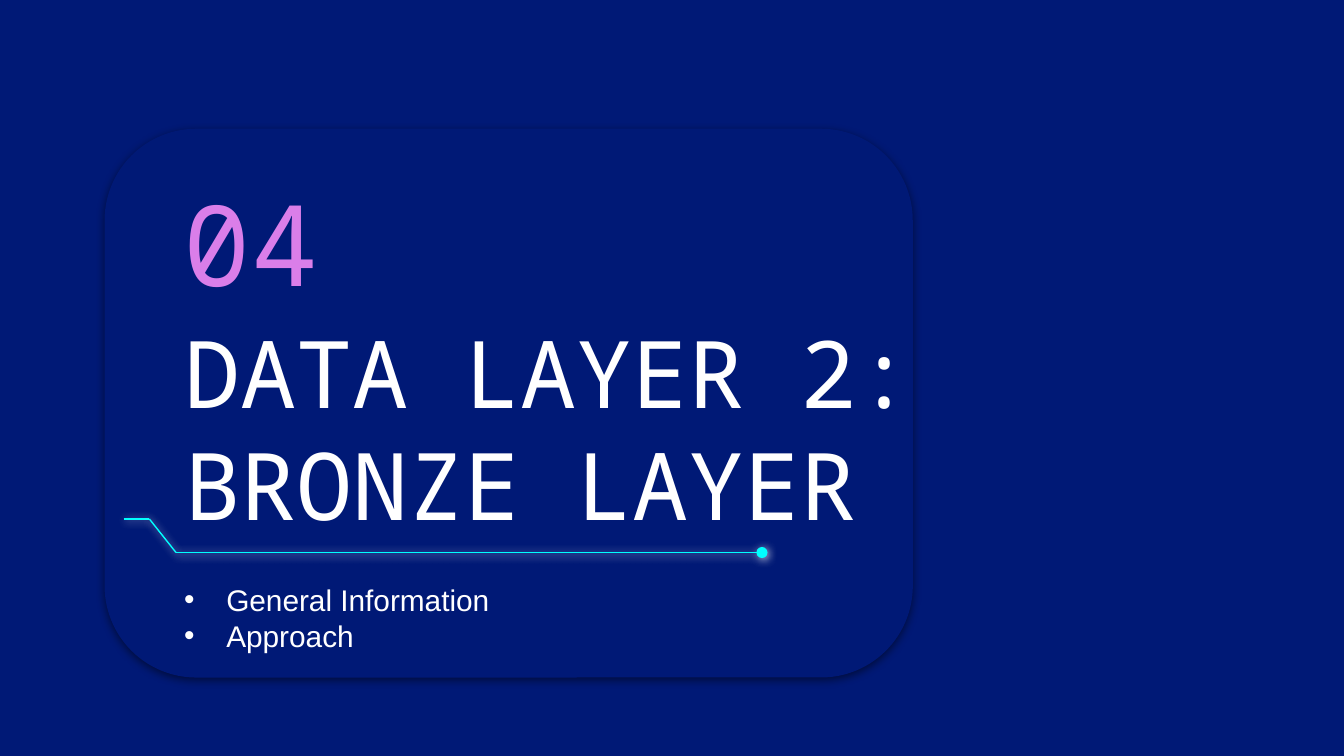
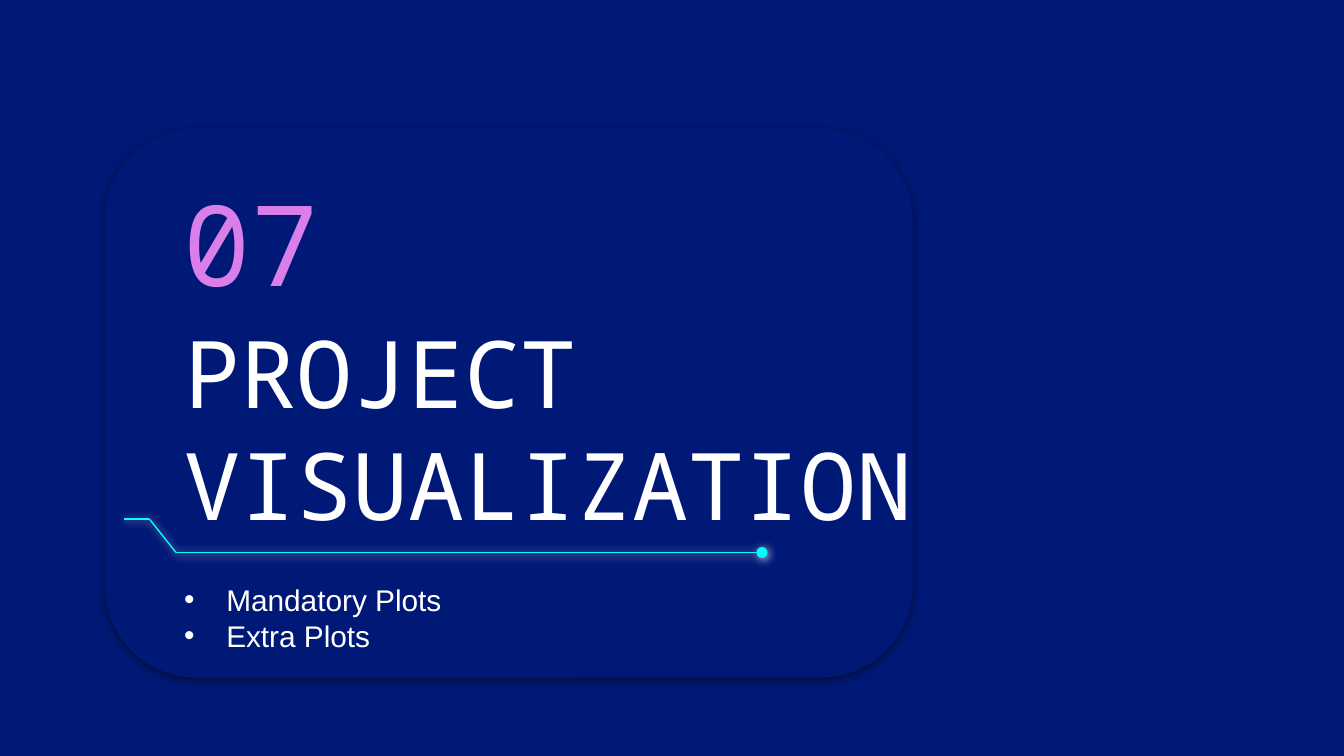
from dataclasses import dataclass
from itertools import pairwise

from lxml import etree
from pptx import Presentation
from pptx.dml.color import RGBColor
from pptx.enum.shapes import MSO_CONNECTOR, MSO_SHAPE
from pptx.enum.text import MSO_ANCHOR, MSO_AUTO_SIZE, PP_ALIGN
from pptx.oxml.ns import qn
from pptx.util import Pt

# Shared style
NAVY, WHITE, PINK, CYAN = "001976", "FFFFFF", "DA7EE9", "00FFFF"
MONO, SANS = "Noto Sans Mono", "Arial"
LEFT = 91.5
INSET = 7.2
INDENT = 22.5
CIRCUIT = [(66.2, 278), (80, 278), (94.3, 296), (408.2, 296)]


@dataclass(frozen=True)
class Box:
    left: float
    top: float
    width: float
    height: float

    def lengths(self) -> tuple[Pt, Pt, Pt, Pt]:
        return Pt(self.left), Pt(self.top), Pt(self.width), Pt(self.height)


@dataclass(frozen=True)
class Shadow:
    color: str
    opacity: int
    blur: float
    distance: float
    angle: int


@dataclass(frozen=True)
class Section:
    number: str
    title: str
    topics: tuple[str, ...]


CARD = Box(56, 69, 433, 294)
TITLE = Box(LEFT, 162, 411, 134)
NUMBER = Box(LEFT, 96.5, 119, 65.5)
TOPICS = Box(LEFT, 304.5, 345.5, 33)
CARD_SHADOW = Shadow("000000", 50, 4.5, 1.5, 90)
GLOW = Shadow(WHITE, 75, 4.5, 0.75, 63)

SECTIONS = [
    Section("04", "DATA LAYER 2: BRONZE LAYER", ("General Information", "Approach")),
    Section("07", "PROJECT VISUALIZATION", ("Mandatory Plots", "Extra Plots")),
]


def rgb(color: str) -> RGBColor:
    return RGBColor.from_string(color)


def add_child(parent, tag: str, **attrs):
    return etree.SubElement(parent, qn(tag), {k: str(v) for k, v in attrs.items()})


def add_shadow(shape, shadow: Shadow) -> None:
    effects = add_child(shape._element.spPr, "a:effectLst")
    outer = add_child(effects, "a:outerShdw", blurRad=Pt(shadow.blur),
                      dist=Pt(shadow.distance), dir=shadow.angle * 60000,
                      algn="bl", rotWithShape=0)
    color = add_child(outer, "a:srgbClr", val=shadow.color)
    add_child(color, "a:alpha", val=shadow.opacity * 1000)


def add_bullet(p) -> None:
    pPr = p._p.get_or_add_pPr()
    pPr.set("marL", str(Pt(INDENT)))
    pPr.set("indent", str(-Pt(INDENT)))
    add_child(add_child(pPr, "a:buClr"), "a:srgbClr", val=WHITE)
    add_child(pPr, "a:buFont", typeface=SANS)
    add_child(pPr, "a:buChar", char="•")


def write(sp, box: Box, *lines: str, font: str = SANS, size: float = 16,
          color: str = WHITE, anchor=MSO_ANCHOR.TOP, bullets: bool = False,
          spacing=1.0) -> None:
    """Place a text shape and fill it with one paragraph per line."""
    sp.left, sp.top, sp.width, sp.height = box.lengths()
    tf = sp.text_frame
    tf.word_wrap = True
    tf.auto_size = MSO_AUTO_SIZE.NONE
    tf.vertical_anchor = anchor
    tf.margin_left = tf.margin_right = tf.margin_top = tf.margin_bottom = Pt(INSET)
    tf.text = "\n".join(lines)
    for p in tf.paragraphs:
        p.alignment = PP_ALIGN.LEFT
        p.space_before = Pt(0)
        p.line_spacing = spacing
        if bullets:
            add_bullet(p)
        for r in p.runs:
            r.font.name, r.font.size = font, Pt(size)
            r.font.bold = False
            r.font.color.rgb = rgb(color)


def add_card(s) -> None:
    card = s.shapes.add_shape(MSO_SHAPE.ROUNDED_RECTANGLE, *CARD.lengths())
    card.adjustments[0] = 0.167
    card.fill.solid()
    card.fill.fore_color.rgb = rgb(NAVY)
    card.line.fill.background()
    add_shadow(card, CARD_SHADOW)
    s.shapes._spTree.insert(2, card._element)  # behind the placeholders


def add_circuit(s) -> None:
    group = s.shapes.add_group_shape()
    for start, end in pairwise(CIRCUIT):
        line = group.shapes.add_connector(
            MSO_CONNECTOR.STRAIGHT, *(Pt(v) for v in start + end))
        line.line.color.rgb = rgb(CYAN)
        line.line.width = Pt(0.75)
        if end == CIRCUIT[-1]:
            add_child(line.line._get_or_add_ln(), "a:tailEnd",
                      type="oval", w="med", len="med")
        add_shadow(line, GLOW)


def add_section(prs, section: Section) -> None:
    s = prs.slides.add_slide(prs.slide_layouts[0])
    add_card(s)
    write(s.shapes.title, TITLE, section.title, font=MONO, size=50,
          anchor=MSO_ANCHOR.BOTTOM, spacing=Pt(60))
    number = s.shapes.add_textbox(*NUMBER.lengths())
    write(number, NUMBER, section.number, font=MONO, size=60, color=PINK,
          anchor=MSO_ANCHOR.MIDDLE)
    write(s.placeholders[1], TOPICS, *section.topics, bullets=True)
    add_circuit(s)


def main() -> None:
    prs = Presentation()
    prs.slide_width, prs.slide_height = Pt(720), Pt(405)
    fill = prs.slide_master.background.fill
    fill.solid()
    fill.fore_color.rgb = rgb(NAVY)
    for section in SECTIONS:
        add_section(prs, section)
    prs.save("out.pptx")


if __name__ == "__main__":
    main()
